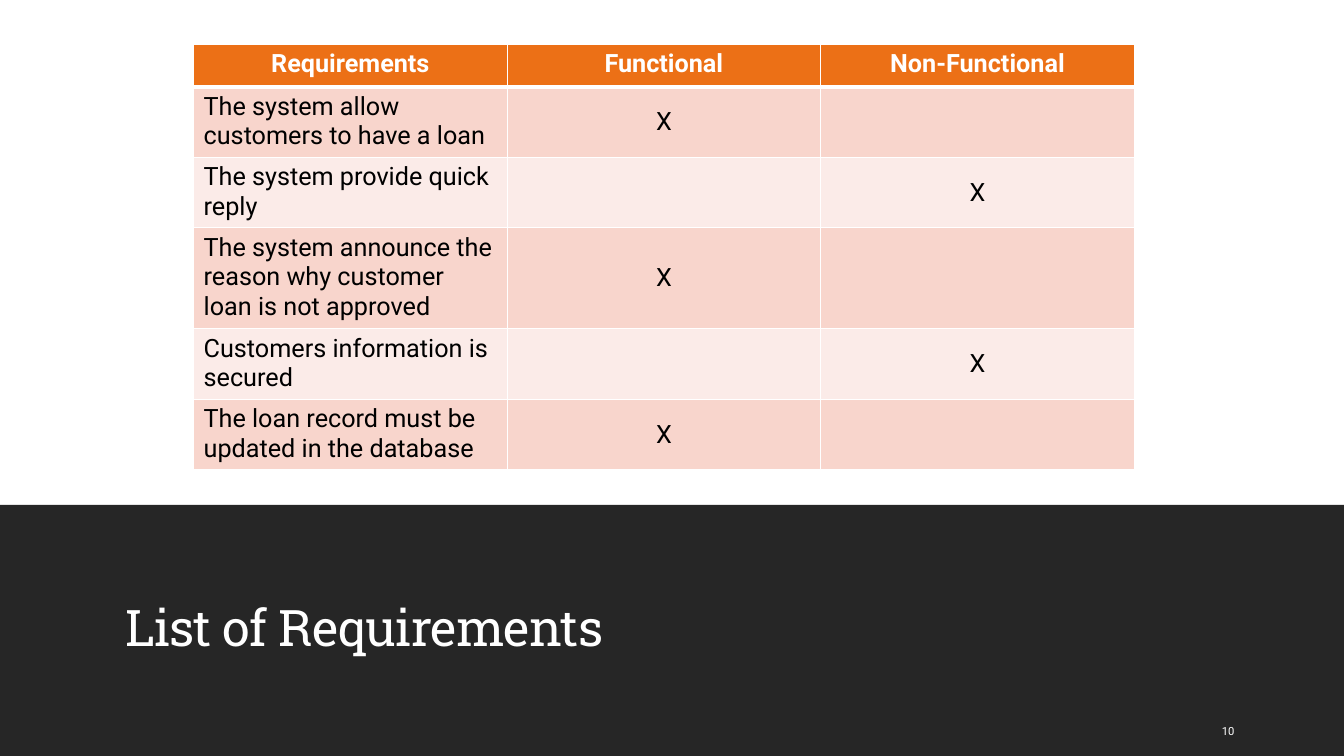
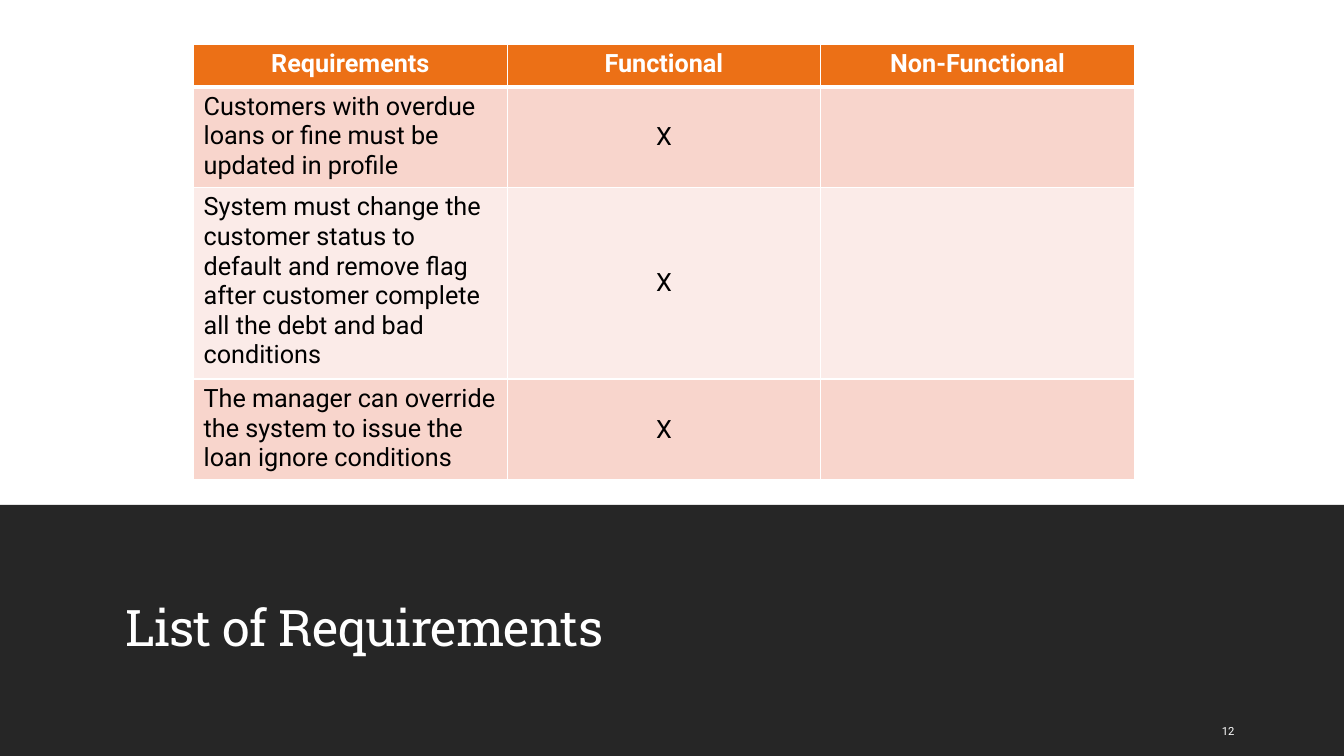
from lxml import etree
from pptx import Presentation
from pptx.dml.color import RGBColor
from pptx.enum import shapes, text
from pptx.oxml import ns
from pptx.util import Inches, Pt

WHITE = RGBColor(0xFF, 0xFF, 0xFF)
BLACK = RGBColor(0x00, 0x00, 0x00)
CHARCOAL = RGBColor(0x26, 0x26, 0x26)
ORANGE = RGBColor(0xEC, 0x70, 0x16)
ROSE = RGBColor(0xF8, 0xD5, 0xCC)
PALE_ROSE = RGBColor(0xFB, 0xEB, 0xE8)

HEADINGS = ("Requirements", "Functional", "Non-Functional")
FUNCTIONAL, NON_FUNCTIONAL = 1, 2

# Page number and its requirements, each with the column to mark
PAGES = (
    ("10", (
        ("The system allow customers to have a loan", FUNCTIONAL),
        ("The system provide quick reply", NON_FUNCTIONAL),
        ("The system announce the reason why customer loan is not approved", FUNCTIONAL),
        ("Customers information is secured", NON_FUNCTIONAL),
        ("The loan record must be updated in the database", FUNCTIONAL),
    )),
    ("12", (
        ("Customers with overdue loans or fine must be updated in profile", FUNCTIONAL),
        ("System must change the customer status to default and remove flag "
         "after customer complete all the debt and bad conditions", FUNCTIONAL),
        ("The manager can override the system to issue the loan ignore conditions",
         FUNCTIONAL),
    )),
)


class Deck:
    """Holds the shared style and the current slide."""

    title_font = "Roboto Slab"
    body_font = "Roboto"
    row_height = 0.42

    def __init__(self):
        self.presentation = Presentation()
        self.presentation.slide_width = Inches(13.33)
        self.presentation.slide_height = Inches(7.5)
        self.slide = None

    def add_slide(self, title, number):
        layout = self.presentation.slide_layouts.get_by_name("Title Only")
        self.slide = self.presentation.slides.add_slide(layout)
        self.add_band()
        self.set_title(title)
        self.add_number(number)

    def add_run(self, paragraph, words, size, color, font=body_font, bold=False):
        run = paragraph.add_run()
        run.text = words
        run.font.name = font
        run.font.size = Pt(size)
        run.font.bold = bold
        run.font.color.rgb = color
        return run

    # Dark band, placed behind the title
    def add_band(self):
        band = self.slide.shapes.add_shape(
            shapes.MSO_SHAPE.RECTANGLE,
            0, Inches(5.01), self.presentation.slide_width, Inches(2.49))
        band.shadow.inherit = False
        band.fill.solid()
        band.fill.fore_color.rgb = CHARCOAL
        band.line.fill.background()
        self.slide.shapes.title._element.addprevious(band._element)

    def set_title(self, words):
        title = self.slide.shapes.title
        title.left, title.top = Inches(1.14), Inches(5.71)
        title.width, title.height = Inches(11.06), Inches(0.81)
        frame = title.text_frame
        frame.auto_size = text.MSO_AUTO_SIZE.NONE
        frame.vertical_anchor = text.MSO_ANCHOR.BOTTOM
        frame.margin_top = frame.margin_bottom = 0
        paragraph = frame.paragraphs[0]
        paragraph.alignment = text.PP_ALIGN.LEFT
        paragraph.line_spacing = 0.9
        run = self.add_run(paragraph, words, 36, WHITE, self.title_font)
        run.font._element.set("spc", "-50")

    def add_number(self, number):
        box = self.slide.shapes.add_textbox(
            Inches(12.02), Inches(7.05), Inches(0.85), Inches(0.4))
        frame = box.text_frame
        frame.word_wrap = True
        frame.vertical_anchor = text.MSO_ANCHOR.MIDDLE
        self.add_run(frame.paragraphs[0], number, 8, WHITE)

    # Requirements table; rows grow with their text
    def add_requirements(self, requirements):
        row_count = len(requirements) + 1
        table = self.slide.shapes.add_table(
            row_count, len(HEADINGS), Inches(1.92), Inches(0.44),
            Inches(9.33), Inches(self.row_height * row_count)).table
        table.horz_banding = False
        for column, heading in enumerate(HEADINGS):
            self.fill_cell(table.cell(0, column), heading, ORANGE,
                           WHITE, bold=True, centered=True, bottom=3)
        for row, (requirement, marked) in enumerate(requirements, 1):
            fill = ROSE if row % 2 else PALE_ROSE
            for column in range(len(HEADINGS)):
                words = requirement if column == 0 else "X" if column == marked else ""
                cell = table.cell(row, column)
                self.fill_cell(cell, words, fill, BLACK, centered=column > 0,
                               top=3 if row == 1 else 1)
                if column:
                    cell.vertical_anchor = text.MSO_ANCHOR.MIDDLE

    def fill_cell(self, cell, words, fill, color, bold=False, centered=False,
                  top=1, bottom=1):
        for side, width in (("L", 1), ("R", 1), ("T", top), ("B", bottom)):
            self.add_border(cell, side, width)
        cell.fill.solid()
        cell.fill.fore_color.rgb = fill
        paragraph = cell.text_frame.paragraphs[0]
        if centered:
            paragraph.alignment = text.PP_ALIGN.CENTER
        if words:
            self.add_run(paragraph, words, 18, color, bold=bold)

    def add_border(self, cell, side, width):
        properties = cell._tc.get_or_add_tcPr()
        line = etree.SubElement(properties, ns.qn("a:ln" + side), w=str(Pt(width)))
        solid = etree.SubElement(line, ns.qn("a:solidFill"))
        etree.SubElement(solid, ns.qn("a:srgbClr"), val=str(WHITE))


def main():
    deck = Deck()
    for number, requirements in PAGES:
        deck.add_slide("List of Requirements", number)
        deck.add_requirements(requirements)
    deck.presentation.save("out.pptx")


if __name__ == "__main__":
    main()
